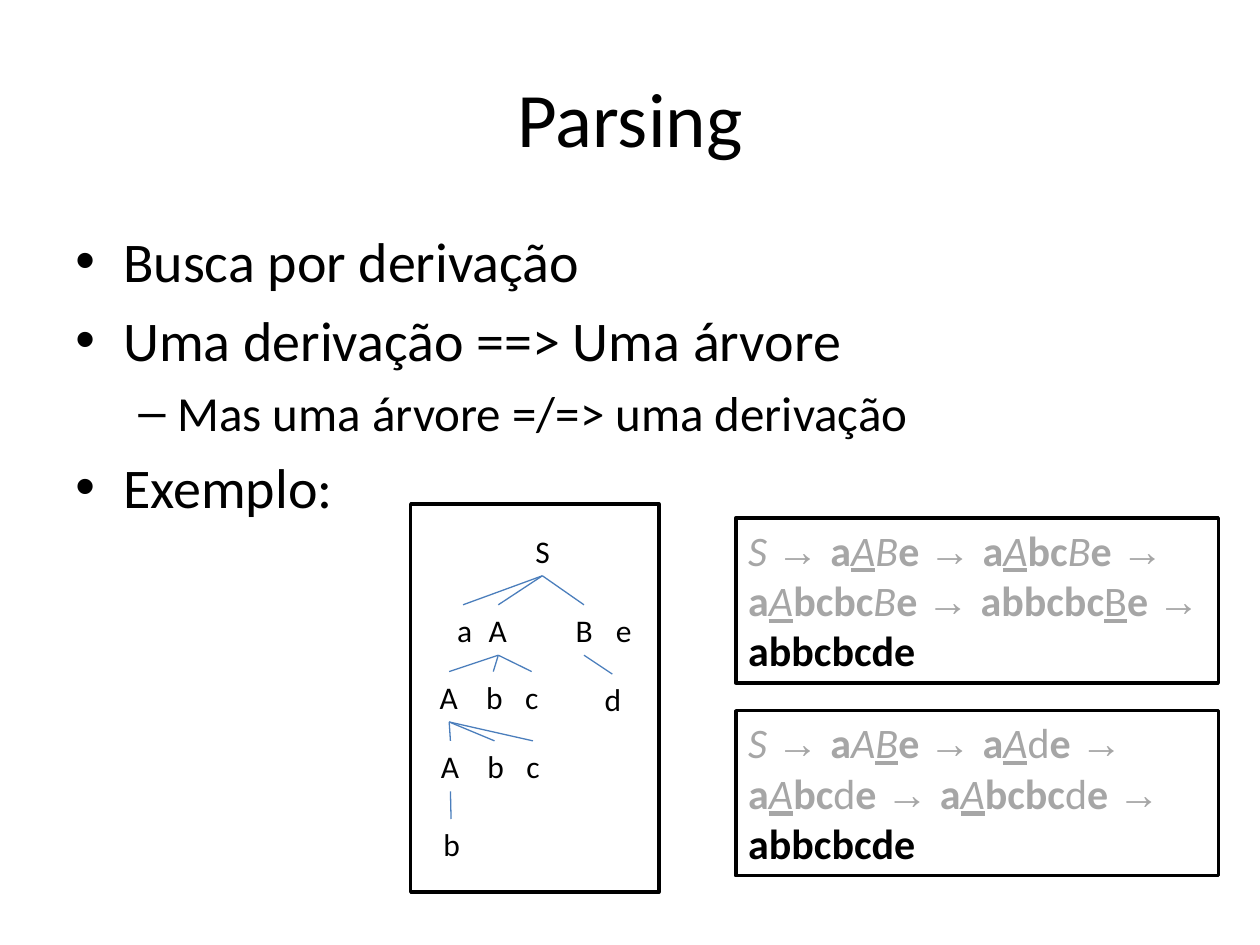
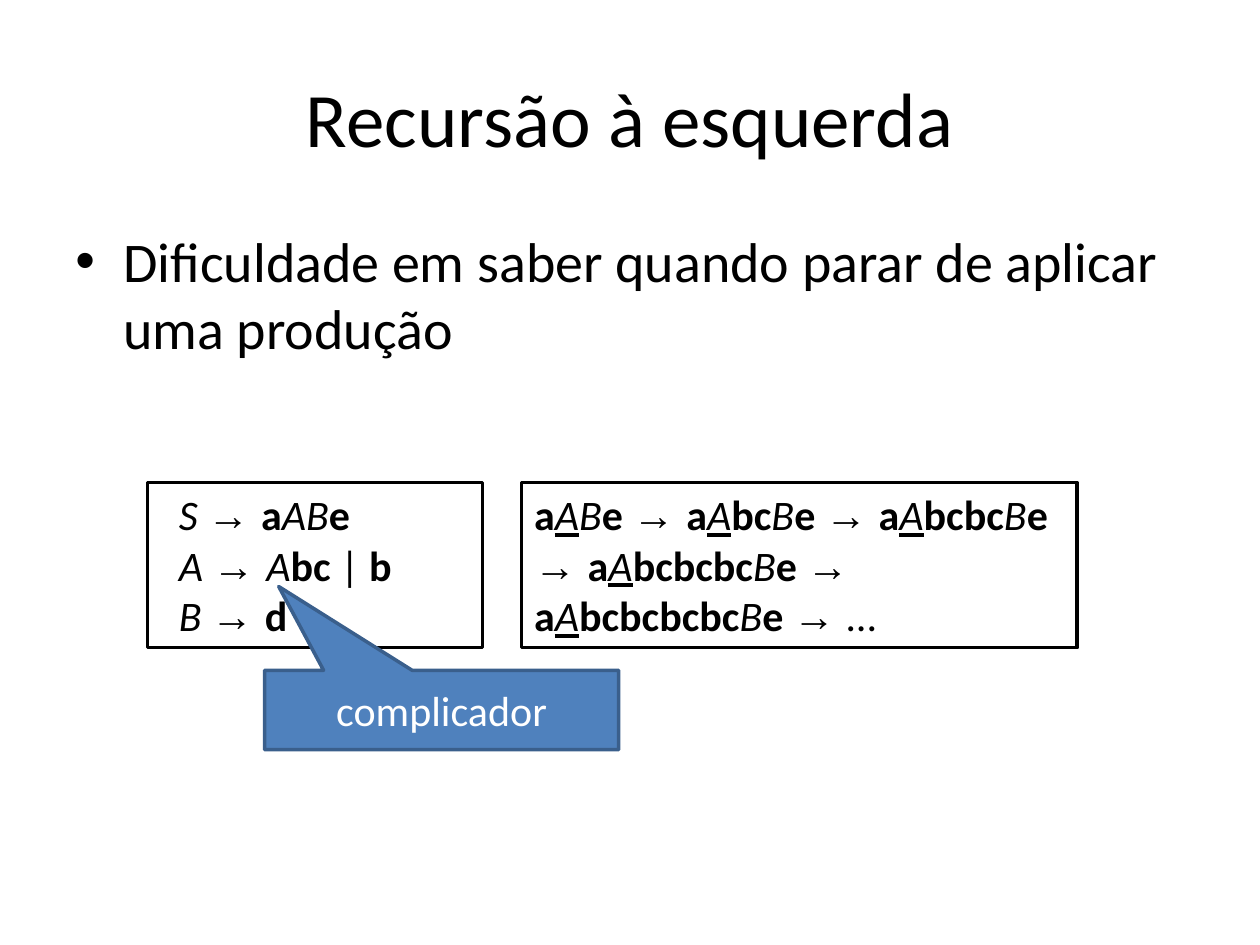
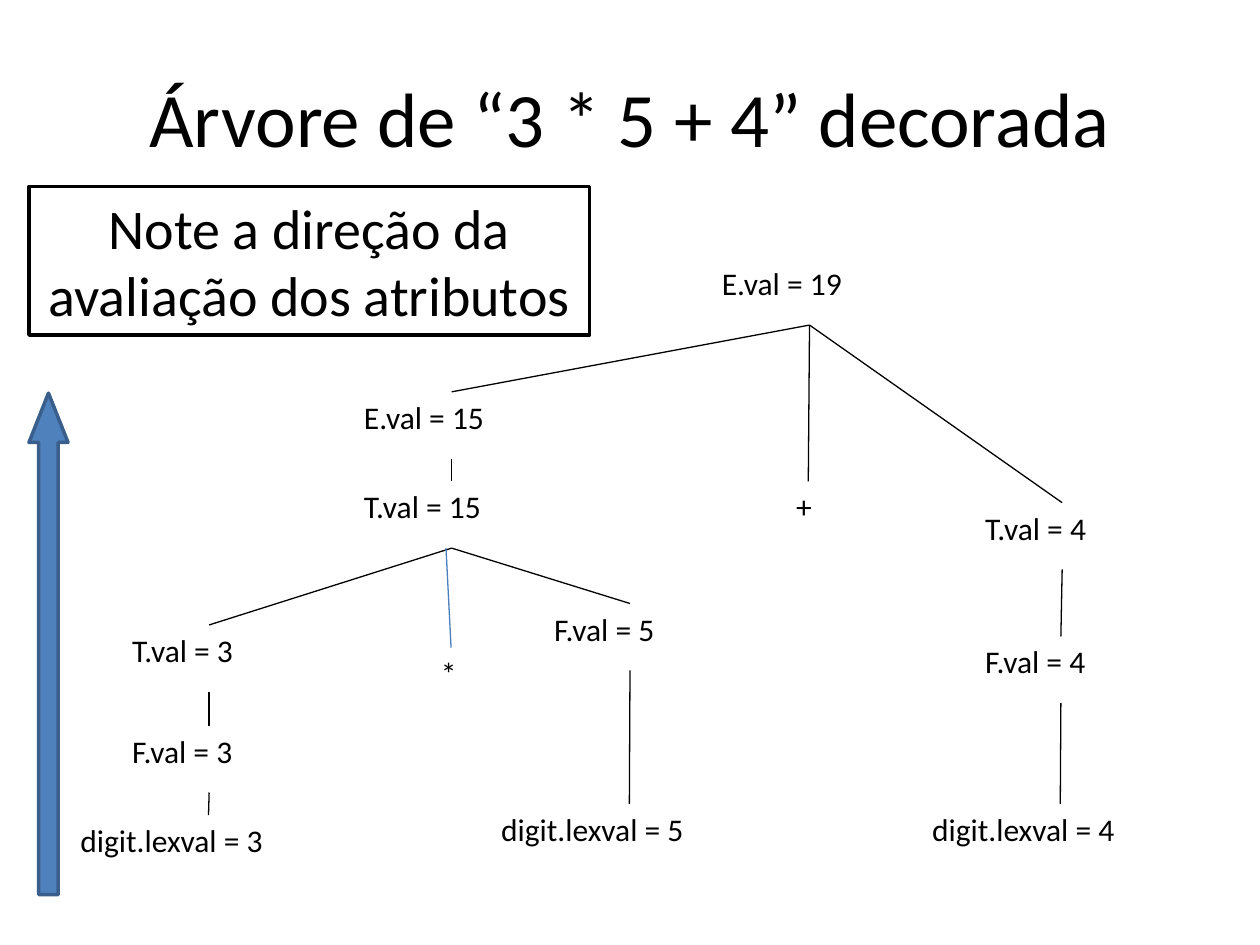
from dataclasses import dataclass
from itertools import groupby
from typing import NamedTuple, Optional

from lxml.etree import SubElement
from pptx import Presentation
from pptx.dml.color import RGBColor
from pptx.enum.shapes import MSO_CONNECTOR as Link, MSO_SHAPE as Preset
from pptx.enum.text import MSO_ANCHOR as Anchor, PP_ALIGN as Align
from pptx.oxml.ns import qn
from pptx.util import Emu, Inches, Pt

COLORS = {
    "ink": "000000",
    "paper": "FFFFFF",
    "faded": "A6A6A6",
    "accent": "4F81BD",
    "accent_edge": "3A5F8C",
    "branch": "4B7EBC",
}
FONT, ARROW_FONT = "Calibri", "Arial"
COLUMNS, ROWS = 100, 75  # square cells over the whole slide
CELL = Inches(10) // COLUMNS
TITLE_ONLY = 5


class Area(NamedTuple):
    """A place on the grid: column, row, columns wide, rows high."""
    col: float
    row: float
    wide: float
    high: float

    def emu(self) -> tuple[Emu, ...]:
        """Return left, top, width and height as lengths."""
        return tuple(cells(n) for n in self)


class Style(NamedTuple):
    """Look of one run of grammar notation."""
    bold: bool = False
    italic: bool = False
    underline: bool = False
    font: str = FONT


PLAIN, ARROW = Style(), Style(font=ARROW_FONT)
TERMINAL, VARIABLE = Style(bold=True), Style(italic=True)
# A mark sets the style of the symbol after it.
MARKS = {"_": Style(italic=True, underline=True), "=": Style(underline=True), "'": PLAIN}


class Level(NamedTuple):
    """Format of one bullet level, indents in inches."""
    size: int
    bullet: str
    left: float
    hanging: float


LEVELS = (Level(32, "•", 0.38, 0.38), Level(28, "–", 0.81, 0.31))


@dataclass(frozen=True)
class Node:
    """A tree label, with the index of the node it hangs from."""
    text: str
    col: float
    row: float
    wide: float
    parent: Optional[int] = None


@dataclass(frozen=True)
class Tree:
    """Nodes of one height, joined by branches of one colour."""
    nodes: tuple[Node, ...]
    high: float
    branch: str
    fill: Optional[str] = None
    wrap: bool = True


def cells(count: float) -> Emu:
    """Turn a number of grid cells into a length."""
    return Emu(round(count * CELL))


def rgb(name: str) -> RGBColor:
    """Look up a colour by its role."""
    return RGBColor.from_string(COLORS[name])


def add_run(paragraph, text: str, size: float, color: str = "ink", style: Style = PLAIN) -> None:
    """Append one formatted run."""
    run = paragraph.add_run()
    run.text = text
    font = run.font
    font.name, font.size = style.font, Pt(size)
    font.bold, font.italic, font.underline = style.bold, style.italic, style.underline
    font.color.rgb = rgb(color)


def add_grammar(paragraph, notation: str, color: str = "ink") -> None:
    """Write notation: bold terminals, italic variables, marked exceptions."""
    symbols, marked, style = [], None, PLAIN
    for char in notation:
        if char in MARKS:
            marked = MARKS[char]
            continue
        if marked is not None:
            style = marked
        elif char == "→":
            style = ARROW
        elif char.isupper():
            style = VARIABLE
        elif char.islower():
            style = TERMINAL
        elif char != " ":
            style = PLAIN
        elif style.underline:
            style = PLAIN
        marked = None
        symbols.append((style, char))
    for look, group in groupby(symbols, key=lambda symbol: symbol[0]):
        add_run(paragraph, "".join(char for _, char in group), 24, color, look)


def add_titled_slide(deck, heading: str):
    """Add a slide and format its title."""
    slide = deck.slides.add_slide(deck.slide_layouts[TITLE_ONLY])
    title = slide.shapes.title
    title.left, title.top, title.width, title.height = Area(5, 3, 90, 12.5).emu()
    title.text_frame.vertical_anchor = Anchor.MIDDLE
    paragraph = title.text_frame.paragraphs[0]
    paragraph.alignment = Align.CENTER
    add_run(paragraph, heading, 44)
    return slide


def add_bullets(slide, high: float, items: list[tuple[int, str]]) -> None:
    """Write the body as bulleted paragraphs of (level, text)."""
    frame = slide.shapes.add_textbox(*Area(5, 17.5, 90, high).emu()).text_frame
    frame.word_wrap = True
    for index, (depth, text) in enumerate(items):
        paragraph = frame.add_paragraph() if index else frame.paragraphs[0]
        level = LEVELS[depth]
        paragraph.level = depth
        paragraph.space_before = Pt(level.size * 0.2)
        props = paragraph._p.get_or_add_pPr()
        props.set("marL", str(Inches(level.left)))
        props.set("indent", str(-Inches(level.hanging)))
        SubElement(props, qn("a:buFont")).set("typeface", ARROW_FONT)
        SubElement(props, qn("a:buChar")).set("char", level.bullet)
        add_run(paragraph, text, level.size)


def add_shape(slide, area: Area, preset=Preset.RECTANGLE, fill: Optional[str] = "paper",
              edge: str = "ink", adjust: tuple[float, ...] = ()):
    """Add an outlined preset shape without a shadow."""
    shape = slide.shapes.add_shape(preset, *area.emu())
    shape.shadow.inherit = False
    for index, value in enumerate(adjust):
        shape.adjustments[index] = value
    if fill:
        shape.fill.solid()
        shape.fill.fore_color.rgb = rgb(fill)
    else:
        shape.fill.background()
    shape.line.color.rgb, shape.line.width = rgb(edge), Pt(2)
    shape.text_frame.word_wrap = True
    return shape


def add_grammar_box(slide, area: Area, lines: list[list[tuple[str, str]]],
                    inset: float = 1) -> None:
    """Add a framed box; each line is a list of (notation, colour)."""
    frame = add_shape(slide, area).text_frame
    frame.vertical_anchor = Anchor.TOP
    frame.margin_left = cells(inset)
    for index, parts in enumerate(lines):
        paragraph = frame.add_paragraph() if index else frame.paragraphs[0]
        paragraph.alignment = Align.LEFT
        for notation, color in parts:
            add_grammar(paragraph, notation, color)


def add_centred_text(shape, text: str, size: int, color: str) -> None:
    """Write one centred paragraph in a shape."""
    shape.text_frame.vertical_anchor = Anchor.MIDDLE
    paragraph = shape.text_frame.paragraphs[0]
    paragraph.alignment = Align.CENTER
    add_run(paragraph, text, size, color)


def add_branch(shapes, start: tuple[float, float], end: tuple[float, float], color: str) -> None:
    """Draw a thin straight line between two grid points."""
    branch = shapes.add_connector(Link.STRAIGHT, *(cells(n) for n in start + end))
    branch.line.color.rgb, branch.line.width = rgb(color), Pt(0.75)
    SubElement(branch._element.spPr, qn("a:effectLst"))


def add_tree(slide, tree: Tree) -> None:
    """Group the labels with branches from parent's foot to child's head."""
    shapes = slide.shapes.add_group_shape().shapes
    for node in tree.nodes:
        label = shapes.add_textbox(*Area(node.col, node.row, node.wide, tree.high).emu())
        if tree.fill:
            label.fill.solid()
            label.fill.fore_color.rgb = rgb(tree.fill)
        label.text_frame.word_wrap = tree.wrap
        add_run(label.text_frame.paragraphs[0], node.text, 18)
    for node in tree.nodes:
        if node.parent is not None:
            above = tree.nodes[node.parent]
            add_branch(shapes, (above.col + above.wide / 2, above.row + tree.high),
                       (node.col + node.wide / 2, node.row), tree.branch)


DERIVED_TREE = Tree((
    Node("S", 41.5, 41.7, 3.1),
    Node("a", 35.3, 48, 2.9, 0),
    Node("A", 37.8, 48, 3.5, 0),
    Node("B", 44.7, 48, 3.3, 0),
    Node("e", 47.9, 48, 3),
    Node("A", 33.9, 53.3, 3.5, 2),
    Node("b", 37.6, 53.3, 3.1, 2),
    Node("c", 40.7, 53.3, 3, 2),
    Node("d", 47, 53.5, 3.2, 3),
    Node("A", 34, 58.8, 3.5, 5),
    Node("b", 37.7, 58.8, 3.1, 5),
    Node("c", 40.8, 58.8, 3, 5),
    Node("b", 34.2, 65, 3.2, 9),
), high=4, branch="branch", fill="paper", wrap=False)

DECORATED_TREE = Tree((
    Node("E.val = 19", 56.3, 20.5, 15.9),
    Node("E.val = 15", 27.9, 31.1, 15.9, 0),
    Node("+", 62.2, 38.2, 3.9, 0),
    Node("T.val = 4", 77.2, 39.9, 14.2, 0),
    Node("T.val = 15", 27.9, 38.2, 15.9, 1),
    Node("T.val = 3", 9.5, 49.6, 14.2, 4),
    Node("*", 34, 51.4, 3.7),
    Node("F.val = 5", 43, 47.9, 14, 4),
    Node("F.val = 4", 77.2, 50.5, 14, 3),
    Node("F.val = 3", 9.5, 57.6, 14.2, 5),
    Node("digit.lexval = 3", 5.4, 64.7, 22.3, 9),
    Node("digit.lexval = 5", 38.8, 63.8, 22.3, 7),
    Node("digit.lexval = 4", 73, 63.8, 22.3, 8),
), high=5.3, branch="ink")

DERIVATIONS = (
    "S → a_ABe → a_AbcBe → a_AbcbcBe → abbcbc=Be → ",
    "S → aA_Be → a_A'de → a_Abc'de → a_Abcbc'de → ",
)
RULES = ("S → aABe", "A → Abc | b", "B → d")
ENDLESS = "a_ABe → a_AbcBe → a_AbcbcBe → a_AbcbcbcBe → a_AbcbcbcbcBe → …"


def build_parsing(deck) -> None:
    """Two derivations that share one tree."""
    slide = add_titled_slide(deck, "Parsing")
    add_bullets(slide, 49.5, [
        (0, "Busca por derivação"),
        (0, "Uma derivação ==> Uma árvore"),
        (1, "Mas uma árvore =/=> uma derivação"),
        (0, "Exemplo:"),
    ])
    add_shape(slide, Area(32.6, 40, 19.7, 30.8))
    add_tree(slide, DERIVED_TREE)
    for index, steps in enumerate(DERIVATIONS):
        add_grammar_box(slide, Area(58.4, 41.1 + 15.3 * index, 38.3, 13.1),
                        [[(steps, "faded"), ("abbcbcde", "ink")]])


def build_left_recursion(deck) -> None:
    """A left-recursive rule and its endless derivation."""
    slide = add_titled_slide(deck, "Recursão à esquerda")
    add_bullets(slide, 35.6, [
        (0, "Dificuldade em saber quando parar de aplicar uma produção"),
    ])
    add_grammar_box(slide, Area(11.7, 38.3, 26.6, 13.1),
                    [[(rule, "ink")] for rule in RULES], inset=2.5)
    add_grammar_box(slide, Area(41.4, 38.3, 44.1, 13.1), [[(ENDLESS, "ink")]])
    callout = add_shape(slide, Area(21, 53.2, 28.1, 6.3), Preset.RECTANGULAR_CALLOUT,
                        "accent", "accent_edge", (-0.46, -1.555))
    add_centred_text(callout, "complicador", 24, "paper")


def build_decorated_tree(deck) -> None:
    """An expression tree whose attributes are evaluated upwards."""
    slide = add_titled_slide(deck, "Árvore de “3 * 5 + 4” decorada")
    add_tree(slide, DECORATED_TREE)
    add_branch(slide.shapes, (35.4, 43.5), (35.8, 51.4), "branch")
    add_shape(slide, Area(2.3, 31.2, 3.1, 39.8), Preset.UP_ARROW,
              "accent", "accent_edge", (0.5, 1.262))
    remark = add_shape(slide, Area(2.3, 14.8, 44.5, 11.8), fill=None)
    add_centred_text(remark, "Note a direção da avaliação dos atributos", 32, "ink")


def main() -> None:
    """Build the deck and save it."""
    deck = Presentation()
    deck.slide_width, deck.slide_height = cells(COLUMNS), cells(ROWS)
    for build in (build_parsing, build_left_recursion, build_decorated_tree):
        build(deck)
    deck.save("out.pptx")


main()
